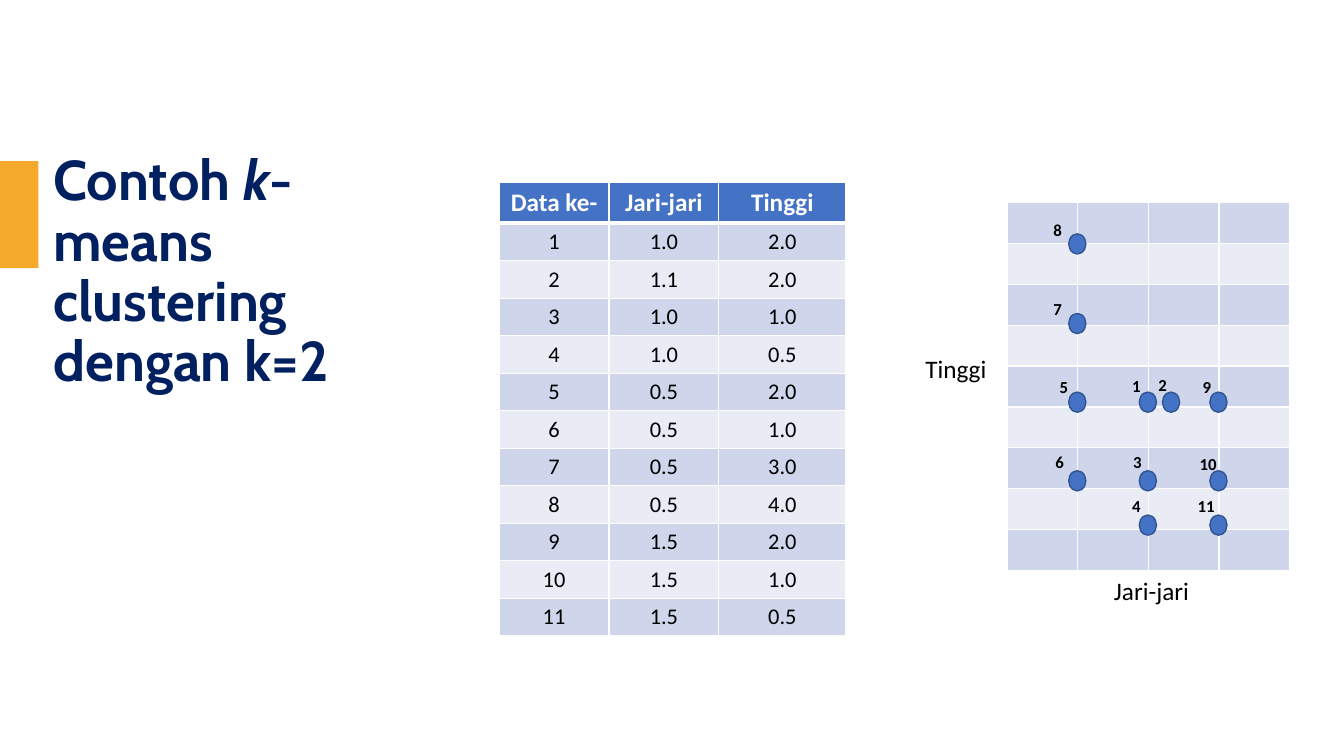
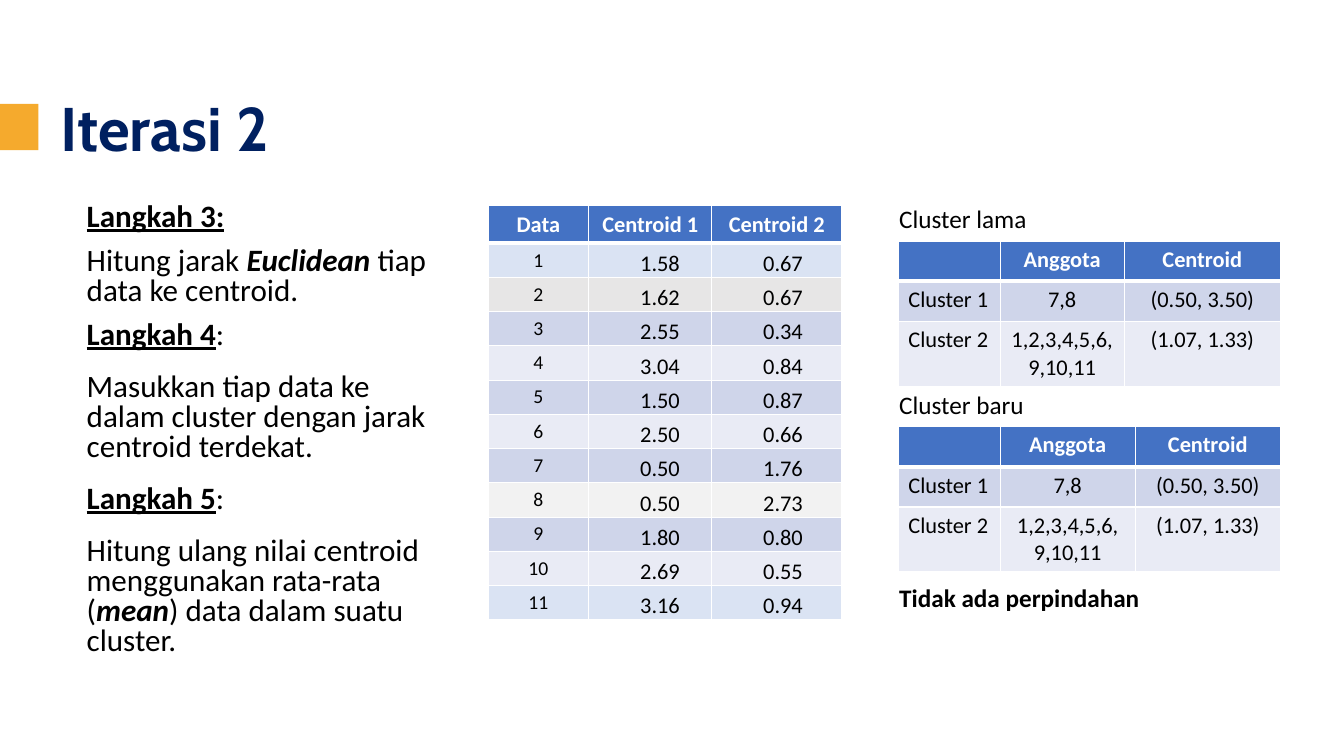
"""Build two slides on k-means clustering: sample data and second iteration."""
from lxml.etree import SubElement
from pptx import Presentation
from pptx.dml.color import RGBColor
from pptx.enum.shapes import MSO_SHAPE as Shape
from pptx.enum.text import MSO_ANCHOR as Anchor, MSO_AUTO_SIZE as AutoSize, PP_ALIGN as Align
from pptx.oxml.ns import qn
from pptx.util import Inches, Pt

COLORS = {
    "navy": "002060", "orange": "F5AA2D", "blue": "4472C4", "outline": "325491",
    "white": "FFFFFF", "black": "000000", "band_dark": "CFD5EA", "band_light": "E9EBF5",
    "tint": "DAE3F3", "gray": "E7E6E6", "pale": "F2F2F2",
}
HEADING_FONT = "Cabin"
BODY_FONT = "Calibri"
TITLE_ONLY, TITLE_AND_BODY = 5, 1

SAMPLES = [
    ("1", "1.0", "2.0"), ("2", "1.1", "2.0"), ("3", "1.0", "1.0"), ("4", "1.0", "0.5"),
    ("5", "0.5", "2.0"), ("6", "0.5", "1.0"), ("7", "0.5", "3.0"), ("8", "0.5", "4.0"),
    ("9", "1.5", "2.0"), ("10", "1.5", "1.0"), ("11", "1.5", "0.5"),
]
RADIUS_OFFSETS = {"0.5": 0.61, "1.0": 1.31, "1.1": 1.54, "1.5": 2.01}
HEIGHT_OFFSETS = {"4.0": 0.31, "3.0": 1.1, "2.0": 1.88, "1.0": 2.66, "0.5": 3.1}
LABEL_SHIFTS = [
    (-0.17, -0.21), (-0.14, -0.22), (-0.16, -0.24), (-0.17, -0.24), (-0.19, -0.2),
    (-0.23, -0.24), (-0.25, -0.2), (-0.25, -0.19), (-0.17, -0.2), (-0.2, -0.22),
    (-0.22, -0.24),
]
DISTANCES = [
    ("1", "1.58", "0.67"), ("2", "1.62", "0.67"), ("3", "2.55", "0.34"),
    ("4", "3.04", "0.84"), ("5", "1.50", "0.87"), ("6", "2.50", "0.66"),
    ("7", "0.50", "1.76"), ("8", "0.50", "2.73"), ("9", "1.80", "0.80"),
    ("10", "2.69", "0.55"), ("11", "3.16", "0.94"),
]
DISTANCE_FILLS = {1: "tint", 2: "gray", 8: "pale", 11: "tint"}
CLUSTERS = [
    ("", "Anggota", "Centroid"),
    ("Cluster 1", "7,8", "(0.50, 3.50)"),
    ("Cluster 2", "1,2,3,4,5,6, 9,10,11", "(1.07, 1.33)"),
]
STEPS = [
    [("Langkah 3:", "bu")],
    [("Hitung jarak ", ""), ("Euclidean ", "bi"), ("tiap data ke centroid.", "")],
    [("Langkah 4", "bu"), (":", "")],
    [("Masukkan tiap data ke dalam cluster dengan jarak centroid terdekat.", "")],
    [("Langkah 5", "bu"), (":", "")],
    [("Hitung ulang nilai centroid menggunakan rata-rata (", ""), ("mean", "bi"),
     (") data dalam suatu cluster.", "")],
]


def rgb(name):
    """Return the named palette colour."""
    return RGBColor.from_string(COLORS[name])


def place(item, box):
    """Move and size an item to a box given in inches."""
    item.left, item.top, item.width, item.height = map(Inches, box)


def write_text(para, spans, size=18, font=BODY_FONT, color="black", bold=False,
               align=Align.LEFT, spacing=None):
    """Fill a paragraph with a string or with (text, b/i/u flags) spans."""
    para.alignment = align
    if spacing:
        para.line_spacing = spacing
    for text, flags in [(spans, "")] if isinstance(spans, str) else spans:
        span = para.add_run()
        span.text = text
        span.font.size, span.font.name = Pt(size), font
        span.font.color.rgb = rgb(color)
        span.font.bold = bold or "b" in flags
        span.font.italic = "i" in flags
        span.font.underline = "u" in flags


def add_label(page, text, box, wrap=True, **style):
    """Add a text box with one paragraph."""
    label = page.shapes.add_textbox(*map(Inches, box))
    label.text_frame.word_wrap = wrap
    write_text(label.text_frame.paragraphs[0], text, **style)


def add_figure(page, kind, box, fill, line=None):
    """Add a flat filled shape with an optional outline."""
    figure = page.shapes.add_shape(kind, *map(Inches, box))
    figure.shadow.inherit = False
    figure.fill.solid()
    figure.fill.fore_color.rgb = rgb(fill)
    if line:
        figure.line.color.rgb = rgb(line)
        figure.line.width = Pt(1)
    else:
        figure.line.fill.background()


def add_heading(page, spans, box, marker, size):
    """Fill the title placeholder and add the orange marker at the left edge."""
    title = page.shapes.title
    place(title, box)
    frame = title.text_frame
    frame.word_wrap, frame.auto_size = True, AutoSize.NONE
    frame.vertical_anchor = Anchor.BOTTOM
    write_text(frame.paragraphs[0], spans, size=size, font=HEADING_FONT, color="navy",
               bold=True, spacing=0.9)
    top, height = marker
    add_figure(page, Shape.RECTANGLE, (0, top, 0.38, height), "orange")


def paint_cell(cell, fill, bottom=1):
    """Give a cell white borders and a solid fill."""
    properties = cell._tc.get_or_add_tcPr()
    for side, width in (("L", 1), ("R", 1), ("T", 1), ("B", bottom)):
        line = SubElement(properties, qn(f"a:ln{side}"), w=str(Pt(width)))
        solid = SubElement(line, qn("a:solidFill"))
        SubElement(solid, qn("a:srgbClr"), val=COLORS["white"])
    cell.fill.solid()
    cell.fill.fore_color.rgb = rgb(fill)


def add_grid(page, origin, widths, heights, header=True, fills=None):
    """Add a banded table and return it; fills overrides the bands by row."""
    size = (sum(widths), sum(heights))
    grid = page.shapes.add_table(len(heights), len(widths),
                                 *map(Inches, (*origin, *size))).table
    grid.first_row = header
    for column, width in zip(grid.columns, widths):
        column.width = Inches(width)
    for index, height in enumerate(heights):
        grid.rows[index].height = Inches(height)
        is_header = header and index == 0
        band = "band_dark" if (index - header) % 2 == 0 else "band_light"
        fill = "blue" if is_header else (fills or {}).get(index, band)
        for cell in grid.rows[index].cells:
            paint_cell(cell, fill, bottom=3 if is_header else 1)
    return grid


def fill_row(grid, index, values, **style):
    """Write centred values in one row."""
    for cell, value in zip(grid.rows[index].cells, values):
        if value:
            write_text(cell.text_frame.paragraphs[0], value,
                       **{"align": Align.CENTER, **style})


def fill_header(grid, values, size):
    """Write the white bold header row."""
    fill_row(grid, 0, values, size=size, color="white", bold=True)


def add_sample_table(page, left, top):
    """Add the table of sample radii and heights."""
    grid = add_grid(page, (left, top), [1.09, 1.09, 1.26], [0.4] + [0.37] * len(SAMPLES))
    fill_header(grid, ("Data ke-", "Jari-jari", "Tinggi"), 18)
    for index, sample in enumerate(SAMPLES, 1):
        fill_row(grid, index, sample, size=16)


def add_scatter(page, left, top):
    """Add the grid with one numbered dot for each sample and two axis names."""
    add_grid(page, (left, top), [0.7] * 4, [0.4] * 9, header=False)
    add_label(page, "Jari-jari", (left + 0.96, top + 3.65, 1.03, 0.4))
    add_label(page, "Tinggi", (left - 0.91, top + 1.45, 0.83, 0.4))
    for (number, radius, height), (shift_x, shift_y) in zip(SAMPLES, LABEL_SHIFTS):
        x, y = left + RADIUS_OFFSETS[radius], top + HEIGHT_OFFSETS[height]
        add_figure(page, Shape.OVAL, (x, y, 0.17, 0.2), "blue", "outline")
        add_label(page, number, (x + shift_x, y + shift_y, 0.21 + 0.08 * len(number), 0.3),
                  wrap=False, size=12, bold=True)


def add_steps(page, box):
    """Fill the body placeholder with the algorithm steps."""
    body = page.placeholders[1]
    place(body, box)
    frame = body.text_frame
    frame.word_wrap, frame.auto_size = True, AutoSize.NONE
    for index, spans in enumerate(STEPS):
        para = frame.add_paragraph() if index else frame.paragraphs[0]
        properties = para._p.get_or_add_pPr()
        properties.set("marL", "0")
        properties.set("indent", "0")
        SubElement(properties, qn("a:buNone"))
        para.space_before = Pt(10 if index else 0)
        para.space_after = Pt(6 if index >= 2 else 0)
        write_text(para, spans, size=22.2, spacing=0.8)


def add_distance_table(page, left, top):
    """Add the table of distances to both centroids."""
    grid = add_grid(page, (left, top), [1, 1.22, 1.29], [0.37] + [0.34] * len(DISTANCES),
                    fills=DISTANCE_FILLS)
    fill_header(grid, ("Data", "Centroid 1", "Centroid 2"), 16)
    for index, (number, *distances) in enumerate(DISTANCES, 1):
        fill_row(grid, index, [number], size=14)
        label, *cells = grid.rows[index].cells
        label.vertical_anchor = Anchor.MIDDLE
        for cell, distance in zip(cells, distances):
            cell.vertical_anchor = Anchor.BOTTOM
            cell.margin_left, cell.margin_right = Inches(0.51), Inches(0.01)
            cell.margin_top, cell.margin_bottom = Inches(0.01), 0
            write_text(cell.text_frame.paragraphs[0], distance, size=16)


def add_cluster_table(page, caption, left, top, widths):
    """Add a caption and the table of cluster members below it."""
    add_label(page, caption, (left - 0.09, top - 0.42, 1.98, 0.4))
    grid = add_grid(page, (left, top), widths, [0.4, 0.4, 0.64])
    fill_header(grid, CLUSTERS[0], 16)
    for index, cluster in enumerate(CLUSTERS[1:], 1):
        fill_row(grid, index, cluster, size=16)
        grid.cell(index, 0).text_frame.paragraphs[0].alignment = Align.LEFT


def build_sample_slide(deck):
    """Build the slide with the sample data and its scatter."""
    page = deck.slides.add_slide(deck.slide_layouts[TITLE_ONLY])
    title = [("Contoh ", ""), ("k", "i"), ("-means clustering dengan k=2", "")]
    add_heading(page, title, (0.43, 1.88, 4.09, 2.08), marker=(1.6, 1.06), size=40)
    add_sample_table(page, 4.95, 1.81)
    add_scatter(page, 9.99, 2.01)


def build_iteration_slide(deck):
    """Build the slide with the second iteration."""
    page = deck.slides.add_slide(deck.slide_layouts[TITLE_AND_BODY])
    add_heading(page, "Iterasi 2", (0.5, 0.84, 12.19, 0.85), marker=(1.03, 0.46), size=44)
    add_steps(page, (0.76, 1.97, 3.68, 4.79))
    add_distance_table(page, 4.84, 2.04)
    add_cluster_table(page, "Cluster lama", 8.91, 2.39, [1.01, 1.23, 1.55])
    add_cluster_table(page, "Cluster baru", 8.91, 4.23, [1.01, 1.34, 1.44])
    add_label(page, "Tidak ada perpindahan", (8.82, 5.73, 2.82, 0.4), bold=True)


def main():
    """Create and save the deck."""
    deck = Presentation()
    deck.slide_width, deck.slide_height = Inches(13.33), Inches(7.5)
    build_sample_slide(deck)
    build_iteration_slide(deck)
    deck.save("out.pptx")


if __name__ == "__main__":
    main()
